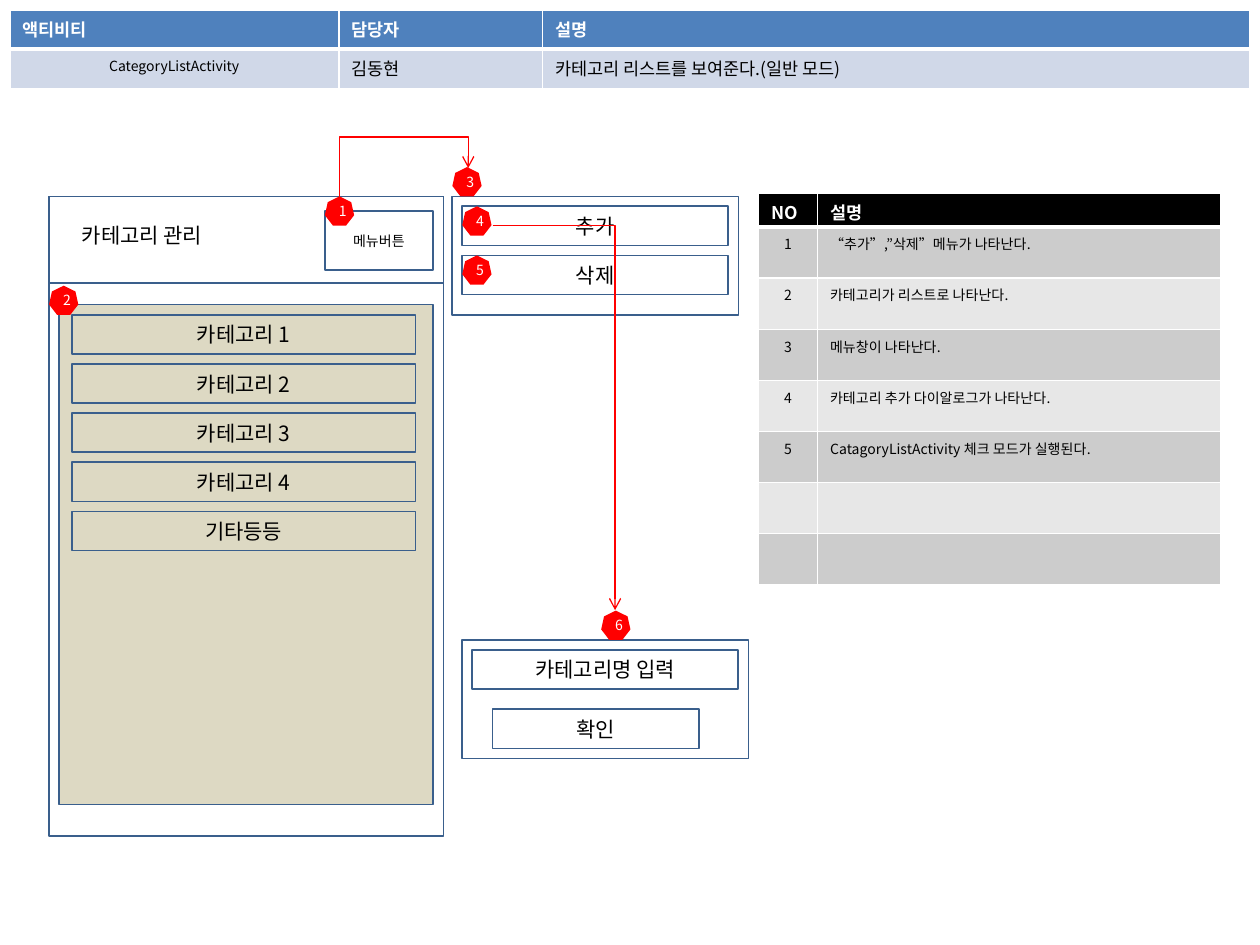
from lxml.etree import SubElement
from pptx import Presentation
from pptx.dml.color import RGBColor
from pptx.enum.shapes import MSO_CONNECTOR, MSO_SHAPE
from pptx.enum.text import MSO_ANCHOR, PP_ALIGN
from pptx.oxml import parse_xml
from pptx.oxml.ns import nsdecls, qn
from pptx.util import Cm, Pt

FONT = "Noto Sans CJK KR"
BLACK = RGBColor(0, 0, 0)
WHITE = RGBColor(255, 255, 255)
RED = RGBColor(255, 0, 0)
BLUE = RGBColor(0x4F, 0x81, 0xBD)
PALE = RGBColor(0xD0, 0xD8, 0xE8)
EDGE = RGBColor(0x3A, 0x5F, 0x8C)
SAND = RGBColor(0xDD, 0xD9, 0xC3)
GRAY = RGBColor(0xCC, 0xCC, 0xCC)
LIGHT = RGBColor(0xE7, 0xE7, 0xE7)

BAR = 0.79    # height of a list bar
STEP = 0.99   # distance from one bar to the next
BADGE = 0.59


def set_text(frame, text, size, color=BLACK, bold=False, align=PP_ALIGN.CENTER):
    para = frame.paragraphs[0]
    para.text = text
    para.alignment = align
    for run in para.runs:
        font = run.font
        font.name, font.size, font.bold = FONT, Pt(size), bold
        font.color.rgb = color
        SubElement(font._element, qn("a:ea"), typeface=FONT)
    if not text:
        para._p.get_or_add_endParaRPr().set("sz", str(size * 100))


def add_box(slide, x, y, w, h, text="", size=12, fill=None):
    box = slide.shapes.add_shape(MSO_SHAPE.RECTANGLE, Cm(x), Cm(y), Cm(w), Cm(h))
    box.shadow.inherit = False
    if fill is None:
        box.fill.background()
    else:
        box.fill.solid()
        box.fill.fore_color.rgb = fill
    box.line.color.rgb = EDGE
    box.line.width = Pt(1)
    if text:
        box.text_frame.vertical_anchor = MSO_ANCHOR.MIDDLE
        set_text(box.text_frame, text, size)


def add_badge(slide, x, y, num):
    badge = slide.shapes.add_shape(
        MSO_SHAPE.HEPTAGON, Cm(x), Cm(y), Cm(BADGE), Cm(BADGE))
    badge.shadow.inherit = False
    badge.fill.solid()
    badge.fill.fore_color.rgb = RED
    badge.line.fill.background()
    badge.text_frame.vertical_anchor = MSO_ANCHOR.MIDDLE
    set_text(badge.text_frame, str(num), 8, WHITE)


def add_arrow(slide, x1, y1, x2, y2):
    arrow = slide.shapes.add_connector(
        MSO_CONNECTOR.ELBOW, Cm(x1), Cm(y1), Cm(x2), Cm(y2))
    arrow.line.color.rgb = RED
    arrow.line.width = Pt(0.75)
    SubElement(arrow.line._get_or_add_ln(), qn("a:tailEnd"), type="arrow")
    props = arrow._element.spPr
    SubElement(props, qn("a:effectLst"))
    return props


def set_cell(cell, fill, base):
    props = cell._tc.get_or_add_tcPr()
    for i, side in enumerate("LRTB"):
        width = Pt(base if side == "B" else 1)
        props.insert(i, parse_xml(
            f'<a:ln{side} {nsdecls("a")} w="{width}"><a:solidFill>'
            f'<a:srgbClr val="{WHITE}"/></a:solidFill></a:ln{side}>'))
    cell.fill.solid()
    cell.fill.fore_color.rgb = fill


def add_grid(slide, x, y, cols, rows, data, head, bands):
    """Table with a bold header row; data holds (text, size, align)."""
    table = slide.shapes.add_table(
        len(rows), len(cols), Cm(x), Cm(y), Cm(sum(cols)), Cm(sum(rows))).table
    for col, width in zip(table.columns, cols):
        col.width = Cm(width)
    for r, (row, high) in enumerate(zip(data, rows)):
        table.rows[r].height = Cm(high)
        fill = bands[(r - 1) % len(bands)] if r else head
        for c, (text, size, align) in enumerate(row):
            cell = table.cell(r, c)
            set_cell(cell, fill, 1 if r else 3)
            set_text(cell.text_frame, text, size, BLACK if r else WHITE, r == 0, align)


def add_head(slide, x, y):
    left = PP_ALIGN.LEFT
    data = [
        [(text, 10, left) for text in ("액티비티", "담당자", "설명")],
        [("CategoryListActivity", 8, PP_ALIGN.CENTER), ("김동현", 10, left),
         ("카테고리 리스트를 보여준다.(일반 모드)", 10, left)],
    ]
    add_grid(slide, x, y, [6.63, 4.11, 14.25], [0.79] * 2, data, BLUE, [PALE])


def add_notes(slide, x, y):
    left = PP_ALIGN.LEFT
    notes = ["“추가”,”삭제”메뉴가 나타난다.", "카테고리가 리스트로 나타난다.",
             "메뉴창이 나타난다.", "카테고리 추가 다이알로그가 나타난다.",
             "CatagoryListActivity 체크 모드가 실행된다."]
    data = [[("NO", 10, left), ("설명", 10, left)]]
    data += [[(str(i), 8, PP_ALIGN.CENTER), (note, 8, left)]
             for i, note in enumerate(notes, 1)]
    data += [[("", 8, left)] * 2] * 2
    add_grid(slide, x, y, [1.19, 8.13], [0.69] + [1.03] * 7, data,
             BLACK, [GRAY, LIGHT])


def add_screen(slide, x, y):
    # Frame and header
    add_box(slide, x, y, 7.95, 12.9)
    add_box(slide, x, y, 7.95, 1.75)
    add_box(slide, x + 5.56, y + 0.3, 2.18, 1.19, "메뉴버튼", 8)
    title = slide.shapes.add_textbox(Cm(x + 0.41), Cm(y + 0.41), Cm(4.37), Cm(0.76))
    title.text_frame.word_wrap = True
    set_text(title.text_frame, "카테고리 관리", 12, align=PP_ALIGN.LEFT)
    # Category list
    add_box(slide, x + 0.2, y + 2.18, 7.54, 10.08, fill=SAND)
    names = [f"카테고리 {i}" for i in range(1, 5)] + ["기타등등"]
    for i, name in enumerate(names):
        add_box(slide, x + 0.46, y + 2.39 + i * STEP, 6.93, BAR, name)
    add_badge(slide, x + 5.56, y, 1)
    add_badge(slide, x, y + 1.8, 2)


def add_menu(slide, x, y):
    add_box(slide, x, y, 5.77, 2.39)
    add_badge(slide, x, y - BADGE, 3)
    for i, name in enumerate(["추가", "삭제"]):
        top = y + 0.2 + i * STEP
        add_box(slide, x + 0.2, top, 5.36, BAR, name)
        add_badge(slide, x + 0.2, top, 4 + i)


def add_dialog(slide, x, y):
    add_box(slide, x, y, 5.77, 2.39)
    add_box(slide, x + 0.2, y + 0.2, 5.36, BAR, "카테고리명 입력")
    add_box(slide, x + 0.61, y + 1.4, 4.17, BAR, "확인")
    add_badge(slide, x + 2.8, y - BADGE, 6)


def add_flow(slide):
    # Menu button to menu: quarter turn, with the bend above both ends
    props = add_arrow(slide, 8.44, 4.98, 7.85, 2.39)
    props.xfrm.set("rot", "5400000")
    guides = props.find(qn("a:prstGeom")).get_or_add_avLst()
    SubElement(guides, qn("a:gd"), name="adj1", fmla="val 206700")
    # Add entry to dialog: a single bend
    props = add_arrow(slide, 9.93, 4.55, 12.4, 12.3)
    props.find(qn("a:prstGeom")).set("prst", "bentConnector2")


def main():
    deck = Presentation()
    deck.slide_width, deck.slide_height = Cm(25.4), Cm(19.05)
    slide = deck.slides.add_slide(deck.slide_layouts[6])
    add_head(slide, 0.2, 0.2)
    add_screen(slide, 0.99, 3.96)
    add_notes(slide, 15.29, 3.89)
    add_menu(slide, 9.12, 3.96)
    add_dialog(slide, 9.32, 12.9)
    add_flow(slide)
    deck.save("out.pptx")


if __name__ == "__main__":
    main()
